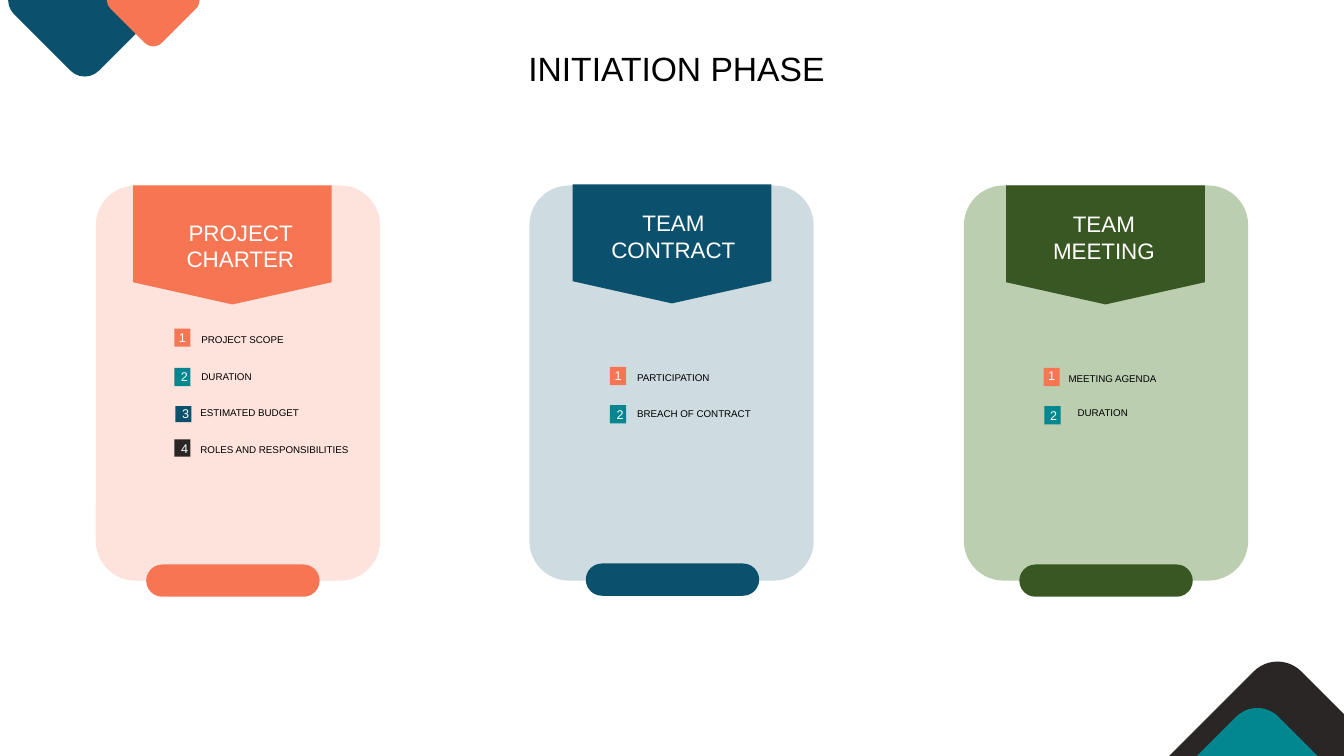
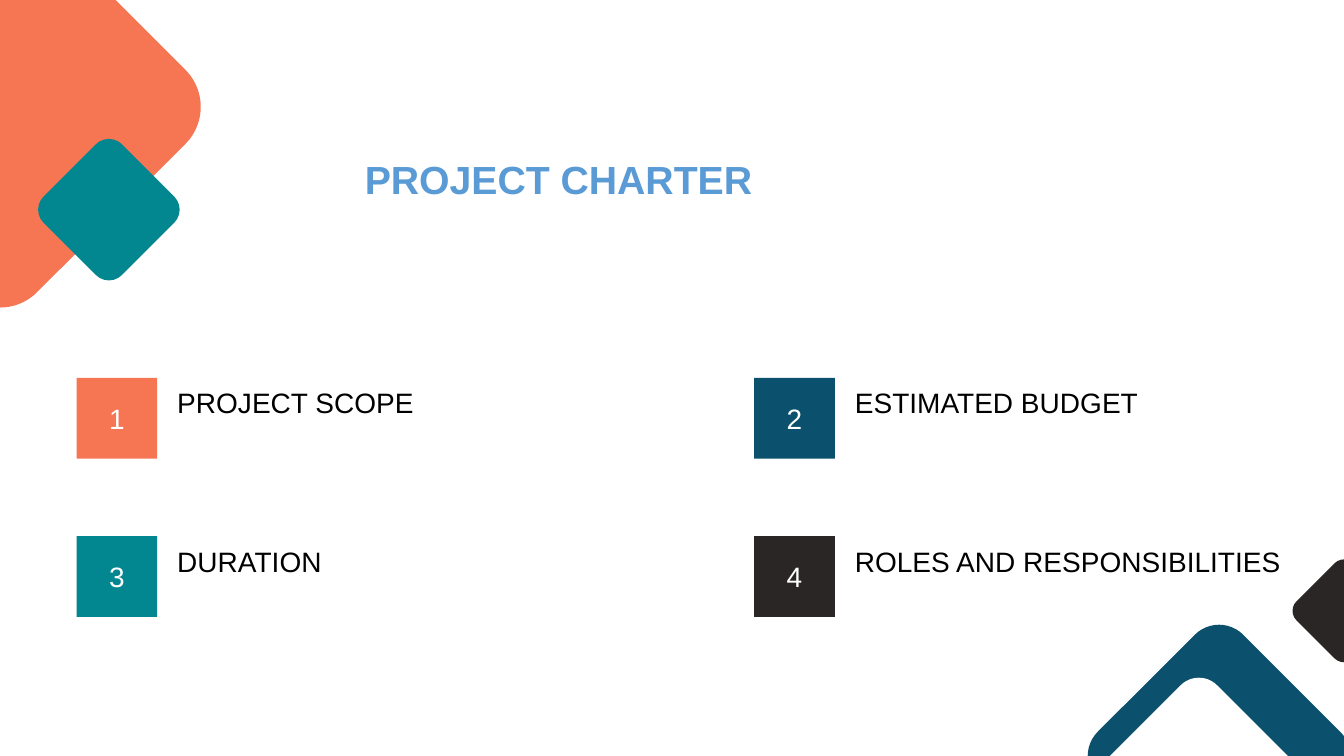
"""Build the project initiation slides."""
from dataclasses import dataclass
from typing import NamedTuple

from lxml import etree
from pptx import Presentation
from pptx import util as u
from pptx.dml.color import RGBColor
from pptx.enum import shapes, text
from pptx.oxml.ns import qn
from pptx.shapes.autoshape import Shape
from pptx.slide import Slide

CORAL, TEAL, NAVY, DARK = "F67654", "02868F", "0B506C", "2A2625"
GREEN, LEAF, SKY = "385723", "548235", "5B9BD5"
BLACK, WHITE = "000000", "FFFFFF"
FONT = "Arial"
RECT = shapes.MSO_SHAPE.RECTANGLE
ROUND = shapes.MSO_SHAPE.ROUNDED_RECTANGLE
LEFT, CENTER, JUSTIFY = text.PP_ALIGN.LEFT, text.PP_ALIGN.CENTER, text.PP_ALIGN.JUSTIFY


class Box(NamedTuple):
    left: float
    top: float
    width: float
    height: float


class Diamond(NamedTuple):
    center_x: float
    center_y: float
    side: float
    colour: str


@dataclass(frozen=True)
class Entry:
    number: int
    words: str
    colour: str
    chip: Box
    label: Box
    digit: Box


@dataclass(frozen=True)
class Card:
    title: str
    title_box: Box
    left: float
    banner_left: float
    banner_top: float
    colour: str
    tint: str
    opacity: int
    entries: list[Entry]


def small_entry(number: int, words: str, colour: str, chip: tuple[float, float],
                label: tuple[float, float, float], digit: tuple[float, float, float],
                chip_height: float = 0.18) -> Entry:
    left, top, width = label
    return Entry(number, words, colour, Box(*chip, 0.16, chip_height),
                 Box(left, top, width, 0.22), Box(*digit, 0.25))


CARDS = [
    Card("PROJECT CHARTER", Box(1.3, 2.12, 2.17, 0.64), 0.95, 1.32, 1.84, CORAL, CORAL, 20, [
        small_entry(1, "PROJECT SCOPE", CORAL, (1.73, 3.26), (1.9, 3.26, 1.24), (1.75, 3.22, 0.12)),
        small_entry(2, "DURATION", TEAL, (1.73, 3.65), (1.9, 3.63, 0.93), (1.75, 3.61, 0.16)),
        small_entry(3, "ESTIMATED BUDGET", NAVY, (1.74, 4.03), (1.89, 3.99, 1.23),
                    (1.75, 3.98, 0.18), 0.16),
        small_entry(4, "ROLES AND RESPONSIBILITIES", DARK, (1.73, 4.36), (1.89, 4.35, 1.87),
                    (1.74, 4.32, 0.18), 0.17),
    ]),
    Card("TEAM CONTRACT", Box(5.71, 2.03, 1.94, 0.64), 5.25, 5.68, 1.83, NAVY, NAVY, 20, [
        small_entry(1, "PARTICIPATION", CORAL, (6.05, 3.64), (6.22, 3.64, 1.24), (6.07, 3.6, 0.12)),
        small_entry(2, "BREACH OF CONTRACT", TEAL, (6.05, 4.02), (6.22, 4.0, 1.57),
                    (6.07, 3.99, 0.16)),
    ]),
    Card("TEAM \nMEETING ", Box(10.01, 2.04, 1.94, 0.64), 9.56, 9.98, 1.84, GREEN, LEAF, 39, [
        small_entry(1, "MEETING AGENDA", CORAL, (10.35, 3.65), (10.5, 3.65, 1.24),
                    (10.37, 3.6, 0.12)),
        small_entry(2, "DURATION", TEAL, (10.36, 4.03), (10.59, 3.99, 1.24), (10.37, 4.0, 0.16)),
    ]),
]
PHASE_CORNERS = [
    Diamond(0.84, 0, 1.19, NAVY),
    Diamond(1.52, 0, 0.72, CORAL),
    Diamond(12.67, 7.84, 2.0, DARK),
    Diamond(12.47, 8.16, 1.78, TEAL),
]
CHARTER_CORNERS = [
    Diamond(0, 1.06, 3.12, CORAL),
    Diamond(1.08, 2.08, 1.1, TEAL),
    Diamond(12.09, 7.5, 2.04, NAVY),
    Diamond(13.33, 6.06, 0.8, DARK),
    Diamond(11.89, 7.7, 1.53, WHITE),
]
CHARTER_TOPICS = [
    ("PROJECT SCOPE", CORAL, 2.9),
    ("ESTIMATED BUDGET", NAVY, 3.25),
    ("DURATION", TEAL, 2.9),
    ("ROLES AND RESPONSIBILITIES", DARK, 4.65),
]


def rgb(colour: str) -> RGBColor:
    return RGBColor.from_string(colour)


def paint(shape: Shape, colour: str, opacity: int = 100) -> None:
    shape.shadow.inherit = False
    shape.line.fill.background()
    shape.fill.solid()
    shape.fill.fore_color.rgb = rgb(colour)
    if opacity < 100:
        swatch = shape.fill._xPr.find(f"{qn('a:solidFill')}/{qn('a:srgbClr')}")
        etree.SubElement(swatch, qn("a:alpha"), val=str(opacity * 1000))


def add_block(page: Slide, kind: shapes.MSO_SHAPE, box: Box, colour: str,
              opacity: int = 100) -> Shape:
    block = page.shapes.add_shape(kind, *(u.Inches(length) for length in box))
    paint(block, colour, opacity)
    return block


def add_text(page: Slide, box: Box, words: str, size: float, colour: str,
             align: text.PP_ALIGN = LEFT, bold: bool = False, side_inset: float = 0.1) -> None:
    frame = page.shapes.add_textbox(*(u.Inches(length) for length in box)).text_frame
    frame_format = {
        "word_wrap": True,
        "auto_size": text.MSO_AUTO_SIZE.SHAPE_TO_FIT_TEXT,
        "margin_left": u.Inches(side_inset),
        "margin_right": u.Inches(side_inset),
    }
    for name, value in frame_format.items():
        setattr(frame, name, value)
    frame.text = words
    span_format = {"name": FONT, "size": u.Pt(size), "bold": bold}
    for para in frame.paragraphs:
        para.alignment = align
        for span in para.runs:
            for name, value in span_format.items():
                setattr(span.font, name, value)
            span.font.color.rgb = rgb(colour)


def add_diamonds(page: Slide, diamonds: list[Diamond]) -> None:
    for diamond in diamonds:
        side = diamond.side
        box = Box(diamond.center_x - side / 2, diamond.center_y - side / 2, side, side)
        add_block(page, ROUND, box, diamond.colour).rotation = 45


def add_entry(page: Slide, entry: Entry, label_size: float, digit_size: float) -> None:
    add_block(page, RECT, entry.chip, entry.colour)
    add_text(page, entry.label, entry.words, label_size, BLACK)
    add_text(page, entry.digit, str(entry.number), digit_size, WHITE, CENTER, side_inset=0)


def add_banner(page: Slide, left: float, top: float, colour: str) -> None:
    width, shoulder, tip = 1.97, 0.96, 1.18
    corners = [(width, 0), (width, shoulder), (width / 2, tip), (0, shoulder)]
    outline = page.shapes.build_freeform(u.Inches(left), u.Inches(top))
    outline.add_line_segments([(u.Inches(left + x), u.Inches(top + y)) for x, y in corners])
    paint(outline.convert_to_shape(), colour)


def add_card(page: Slide, card: Card) -> None:
    panel = add_block(page, ROUND, Box(card.left, 1.84, 2.82, 3.92), card.tint, card.opacity)
    panel.adjustments[0] = 0.14
    add_banner(page, card.banner_left, card.banner_top, card.colour)
    pill_box = Box(card.banner_left + 0.13, card.banner_top + 3.76, 1.72, 0.32)
    add_block(page, ROUND, pill_box, card.colour).adjustments[0] = 0.5
    add_text(page, card.title_box, card.title, 16, WHITE, CENTER)
    for entry in card.entries:
        add_entry(page, entry, label_size=7, digit_size=9)


def build_phase(page: Slide) -> None:
    add_diamonds(page, PHASE_CORNERS)
    add_text(page, Box(4.81, 0.43, 3.8, 0.5), "INITIATION PHASE", 24, BLACK, CENTER)
    for card in CARDS:
        add_card(page, card)


def build_charter(page: Slide) -> None:
    add_diamonds(page, CHARTER_CORNERS)
    add_text(page, Box(3.52, 1.49, 5.72, 0.57), "PROJECT CHARTER", 28, SKY, JUSTIFY, bold=True)
    for index, (words, colour, label_width) in enumerate(CHARTER_TOPICS):
        row, column = divmod(index, 2)
        left, top = 0.76 + 6.72 * column, 3.75 + 1.57 * row
        entry = Entry(index + 1, words, colour, Box(left, top, 0.8, 0.8),
                      Box(left + 0.9, top + 0.03, label_width, 0.44),
                      Box(left + 0.23, top + 0.18, 0.34, 0.44))
        add_entry(page, entry, label_size=20, digit_size=20)


def main() -> None:
    deck = Presentation()
    deck.slide_width, deck.slide_height = u.Inches(13.33), u.Inches(7.5)
    for build in (build_phase, build_charter):
        build(deck.slides.add_slide(deck.slide_layouts[6]))
    deck.save("out.pptx")


if __name__ == "__main__":
    main()
